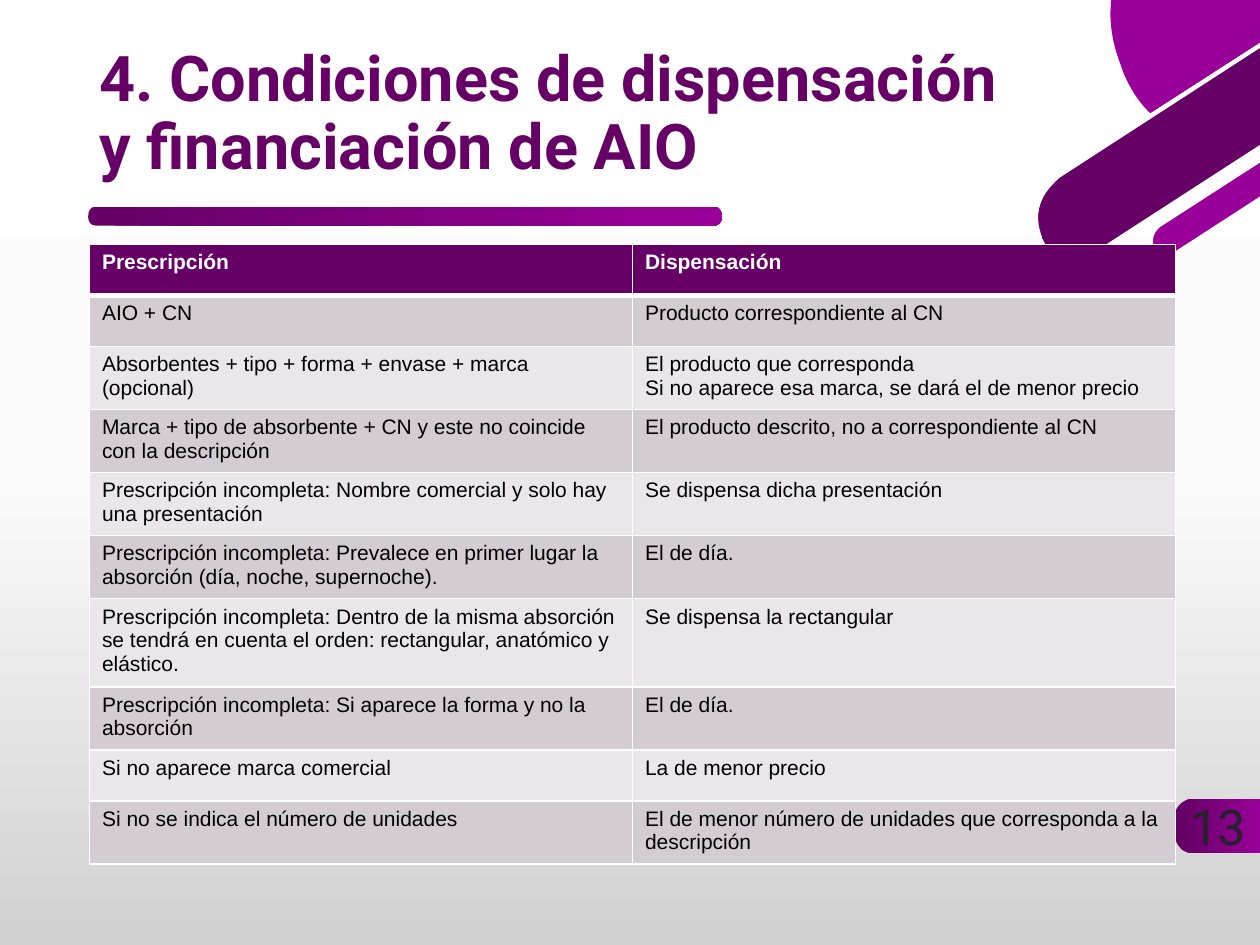
"""Build the slide on dispensing and funding conditions for AIO."""
import dataclasses

import lxml.etree
import pptx
import pptx.dml.color
import pptx.enum.shapes
import pptx.enum.text
import pptx.oxml.ns
import pptx.shapes.base
import pptx.slide
import pptx.table
import pptx.text.text
import pptx.util

Inches = pptx.util.Inches
MSO_SHAPE = pptx.enum.shapes.MSO_SHAPE
qn = pptx.oxml.ns.qn
Stops = tuple[tuple[int, str], ...]
Segment = tuple[float, ...]


@dataclasses.dataclass(frozen=True)
class Theme:
    dark: str = "660066"
    bright: str = "990099"
    white: str = "FFFFFF"
    black: str = "000000"
    number: str = "21222B"
    bands: tuple[str, str] = ("D3CCD3", "EAE7EA")
    backdrop: Stops = ((0, "FFFFFF"), (50, "FBFBFB"), (100, "D1D1D1"))
    heading_font: str = "Roboto"
    body_font: str = "Arial"
    title_size: int = 36
    number_size: int = 28
    table_size: int = 12
    border: int = 1
    header_border: int = 3


@dataclasses.dataclass(frozen=True)
class Ornament:
    """An outline of line ends (x, y) and cubic curves (x1, y1, x2, y2, x, y)."""
    color: str
    outline: tuple[Segment, ...]


@dataclasses.dataclass(frozen=True)
class Rule:
    prescription: str
    dispensing: str


THEME = Theme()

PAGE_TAB = Ornament(THEME.dark, (
    (9.46, 6.77), (10, 6.77), (10, 6.34), (9.46, 6.34),
    (9.46, 6.34, 9.31, 6.34, 9.31, 6.55), (9.31, 6.56),
    (9.31, 6.56, 9.31, 6.77, 9.46, 6.77)))

UNDERLINE = Ornament(THEME.dark, (
    (5.67, 1.79), (0.76, 1.79), (0.72, 1.79, 0.7, 1.76, 0.7, 1.72),
    (0.7, 1.67, 0.72, 1.64, 0.76, 1.64), (5.67, 1.64),
    (5.7, 1.64, 5.73, 1.67, 5.73, 1.72), (5.73, 1.76, 5.7, 1.79, 5.67, 1.79)))

CORNER = (
    Ornament(THEME.white, (
        (9.99, 0.81), (9.79, 0.94), (9.55, 1.1, 9.33, 1.08, 9.14, 0.89),
        (9, 0.74, 8.92, 0.55, 8.92, 0.55), (8.91, 0.52),
        (8.84, 0.34, 8.81, 0.16, 8.83, 0), (8.8, 0),
        (8.79, 0.17, 8.81, 0.35, 8.88, 0.54), (8.89, 0.57),
        (8.9, 0.58, 8.97, 0.77, 9.12, 0.92), (9.21, 1.01, 9.33, 1.09, 9.48, 1.09),
        (9.58, 1.09, 9.69, 1.06, 9.81, 0.98), (9.99, 0.86))),
    Ornament(THEME.dark, (
        (8.41, 1.39), (8.41, 1.39, 8.13, 1.57, 8.26, 1.89), (8.26, 1.9),
        (8.26, 1.9, 8.38, 2.22, 8.65, 2.04), (10, 1.17), (10, 0.36))),
    Ornament(THEME.bright, (
        (8.91, 0.56), (8.91, 0.56, 8.98, 0.76, 9.13, 0.9), (10, 0.34), (10, 0),
        (8.82, 0), (8.8, 0.15, 8.82, 0.33, 8.9, 0.53))),
    Ornament(THEME.bright, (
        (10, 1.26), (9.2, 1.78), (9.2, 1.78, 9.1, 1.85, 9.15, 1.97), (9.15, 1.98),
        (9.15, 1.98, 9.2, 2.11, 9.3, 2.04), (10, 1.58))),
    Ornament(THEME.white, (
        (9.29, 2.02), (9.21, 2.08, 9.17, 1.98, 9.16, 1.97),
        (9.12, 1.86, 9.21, 1.8, 9.21, 1.8), (10, 1.29), (10, 1.24), (9.2, 1.76),
        (9.2, 1.76, 9.14, 1.8, 9.12, 1.87), (9.12, 1.91, 9.12, 1.95, 9.13, 1.99),
        (9.15, 2.03, 9.19, 2.08, 9.24, 2.08), (9.26, 2.08, 9.28, 2.08, 9.31, 2.06),
        (10, 1.61), (10, 1.56))),
    Ornament(THEME.white, (
        (8.64, 2.03), (8.39, 2.19, 8.28, 1.9, 8.27, 1.89), (8.27, 1.88),
        (8.22, 1.75, 8.23, 1.64, 8.3, 1.53), (8.35, 1.46, 8.41, 1.41, 8.41, 1.41),
        (10, 0.38), (10, 0.34), (8.4, 1.37), (8.39, 1.38, 8.26, 1.46, 8.22, 1.63),
        (8.2, 1.71, 8.21, 1.8, 8.24, 1.9), (8.25, 1.91),
        (8.25, 1.91, 8.33, 2.12, 8.5, 2.12), (8.54, 2.12, 8.6, 2.1, 8.66, 2.06),
        (10, 1.19), (10, 1.15))),
)

RULES = (
    Rule("Prescripción", "Dispensación"),
    Rule("AIO + CN", "Producto correspondiente al CN"),
    Rule("Absorbentes + tipo + forma + envase + marca (opcional)",
         "El producto que corresponda\nSi no aparece esa marca, se dará el de menor precio"),
    Rule("Marca + tipo de absorbente + CN y este no coincide con la descripción",
         "El producto descrito, no a correspondiente al CN"),
    Rule("Prescripción incompleta: Nombre comercial y solo hay una presentación",
         "Se dispensa dicha presentación"),
    Rule("Prescripción incompleta: Prevalece en primer lugar la absorción "
         "(día, noche, supernoche).", "El de día."),
    Rule("Prescripción incompleta: Dentro de la misma absorción se tendrá en cuenta "
         "el orden: rectangular, anatómico y elástico.", "Se dispensa la rectangular"),
    Rule("Prescripción incompleta: Si aparece la forma y no la absorción", "El de día."),
    Rule("Si no aparece marca comercial", "La de menor precio"),
    Rule("Si no se indica el número de unidades",
         "El de menor número de unidades que corresponda a la descripción"),
)


def rgb(color: str) -> pptx.dml.color.RGBColor:
    """Turn a hex string into a colour."""
    return pptx.dml.color.RGBColor.from_string(color)


def paint_solid(shape: pptx.shapes.base.BaseShape, color: str) -> None:
    """Give a shape a plain fill without line or shadow."""
    shape.shadow.inherit = False
    shape.fill.solid()
    shape.fill.fore_color.rgb = rgb(color)
    shape.line.fill.background()


def paint_gradient(owner, fill, stops: Stops, angle: int) -> None:
    """Fill the owner with a linear gradient, its angle counted anticlockwise."""
    fill.gradient()
    fill.gradient_angle = angle
    stop_list = owner.element.xpath(".//a:gsLst")[0]
    for old_stop in list(stop_list):
        stop_list.remove(old_stop)
    for position, color in stops:
        stop = lxml.etree.SubElement(stop_list, qn("a:gs"), pos=str(position * 1000))
        lxml.etree.SubElement(stop, qn("a:srgbClr"), val=color)


def draw_ornament(slide: pptx.slide.Slide, ornament: Ornament) -> pptx.shapes.base.BaseShape:
    """Draw one filled outline, bending its lines into curves where asked."""
    start, *segments = ornament.outline
    builder = slide.shapes.build_freeform(*map(Inches, start))
    builder.add_line_segments([tuple(map(Inches, part[-2:])) for part in segments])
    piece = builder.convert_to_shape()
    for side, part in zip(piece.element.xpath(".//a:lnTo"), segments):
        if len(part) == 2:
            continue
        curve = lxml.etree.Element(qn("a:cubicBezTo"))
        for x, y in zip(part[::2], part[1::2]):
            lxml.etree.SubElement(curve, qn("a:pt"), x=str(Inches(x) - piece.left),
                                  y=str(Inches(y) - piece.top))
        side.getparent().replace(side, curve)
    paint_solid(piece, ornament.color)
    return piece


def draw_gradient_ornament(slide: pptx.slide.Slide, ornament: Ornament, first: int) -> None:
    """Draw an outline that runs from dark to bright, starting at a percentage."""
    piece = draw_ornament(slide, ornament)
    paint_gradient(piece, piece.fill, ((first, THEME.dark), (100, THEME.bright)), 0)


def style(paragraph, face: str, size: int, color: str, bold: bool = False) -> None:
    """Set the font of a paragraph."""
    font = paragraph.font
    font.name, font.size, font.bold = face, pptx.util.Pt(size), bold
    font.color.rgb = rgb(color)


def add_text(slide: pptx.slide.Slide, text: str, *box: float) -> pptx.text.text.TextFrame:
    """Add a wrapping text box at left, top, width, height."""
    frame = slide.shapes.add_textbox(*map(Inches, box)).text_frame
    frame.word_wrap = True
    frame.text = text
    return frame


def draw_cell(cell: pptx.table._Cell, text: str, row: int) -> None:
    """Write, border and fill one table cell."""
    header = row == 0
    cell.text = text
    for paragraph in cell.text_frame.paragraphs:
        style(paragraph, THEME.body_font, THEME.table_size,
              THEME.white if header else THEME.black, header)
    properties = cell._tc.get_or_add_tcPr()
    for side in "LRTB":
        heavy = (row, side) in ((0, "B"), (1, "T"))
        width = pptx.util.Pt(THEME.header_border if heavy else THEME.border)
        line = lxml.etree.SubElement(properties, qn(f"a:ln{side}"), w=str(width))
        solid = lxml.etree.SubElement(line, qn("a:solidFill"))
        lxml.etree.SubElement(solid, qn("a:srgbClr"), val=THEME.white)
    cell.fill.solid()
    cell.fill.fore_color.rgb = rgb(THEME.dark if header else THEME.bands[(row - 1) % 2])


def main() -> None:
    """Build and save the slide."""
    deck = pptx.Presentation()
    deck.slide_width, deck.slide_height = Inches(10), Inches(7.5)
    slide = deck.slides.add_slide(deck.slide_layouts[6])
    paint_gradient(slide, slide.background.fill, THEME.backdrop, 270)

    page_dot = slide.shapes.add_shape(
        MSO_SHAPE.OVAL, Inches(8.93), Inches(6.35), Inches(0.32), Inches(0.42))
    paint_solid(page_dot, THEME.dark)
    draw_gradient_ornament(slide, PAGE_TAB, 12)
    for ornament in CORNER:
        draw_ornament(slide, ornament)
    draw_gradient_ornament(slide, UNDERLINE, 0)

    title = add_text(slide, "4. Condiciones de dispensación y financiación de AIO",
                     0.69, 0.4, 7.42, 1.03)
    title.vertical_anchor = pptx.enum.text.MSO_ANCHOR.MIDDLE
    title.paragraphs[0].line_spacing = 0.9
    style(title.paragraphs[0], THEME.heading_font, THEME.title_size, THEME.dark, True)

    page_number = add_text(slide, "13", 9.33, 6.27, 0.67, 0.57).paragraphs[0]
    page_number.alignment = pptx.enum.text.PP_ALIGN.CENTER
    style(page_number, THEME.heading_font, THEME.number_size, THEME.number)

    conditions = slide.shapes.add_table(
        len(RULES), 2, Inches(0.71), Inches(1.94), Inches(8.62), Inches(4.05)).table
    for row, rule in enumerate(RULES):
        for column, text in enumerate(dataclasses.astuple(rule)):
            draw_cell(conditions.cell(row, column), text, row)
    deck.save("out.pptx")


if __name__ == "__main__":
    main()
